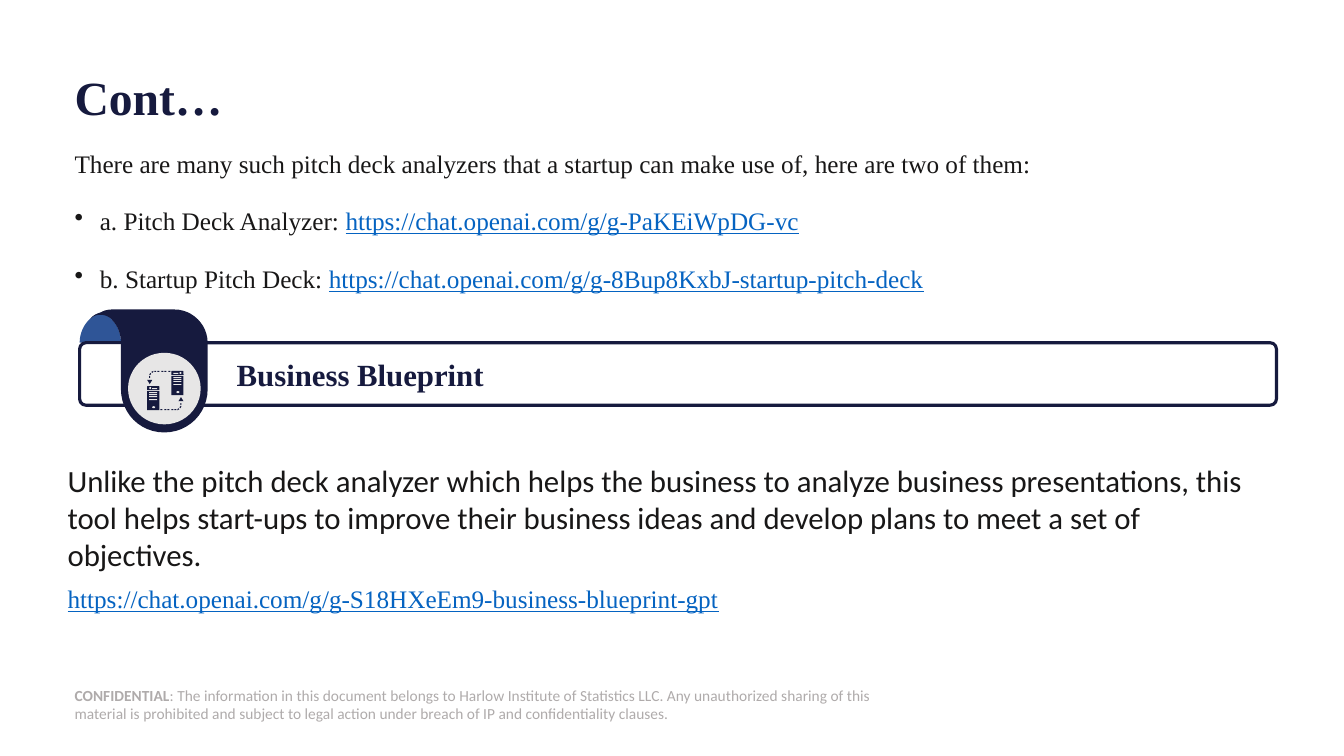
from lxml import etree
from pptx import Presentation
from pptx.dml.color import RGBColor
from pptx.enum.shapes import MSO_SHAPE
from pptx.enum.text import MSO_ANCHOR, PP_ALIGN
from pptx.oxml.ns import qn
from pptx.util import Emu, Pt

PX = 9144
RECT, OVAL = MSO_SHAPE.RECTANGLE, MSO_SHAPE.OVAL
ROUND, TOP = MSO_SHAPE.ROUNDED_RECTANGLE, MSO_SHAPE.ROUND_2_SAME_RECTANGLE
TRI = MSO_SHAPE.ISOSCELES_TRIANGLE
MID, HIGH, LEFT = MSO_ANCHOR.MIDDLE, MSO_ANCHOR.TOP, PP_ALIGN.LEFT
SERIF, SANS = "Times New Roman", "Calibri"
HUES = {"navy": "161A3E", "blue": "2F5597", "ink": "181717", "link": "0563C1",
        "grey": "AFABAB", "pale": "E7E6E6", "white": "FFFFFF"}


def px(num):
    """Turn px into EMU."""
    return Emu(round(num * PX))


def hue(name):
    """Look up a colour."""
    return RGBColor.from_string(HUES[name])


def paint(shape, fill, line=None, width=0):
    """Set fill and outline and drop the shadow."""
    shape.shadow.inherit = False
    shape.fill.solid()
    shape.fill.fore_color.rgb = hue(fill)
    if line:
        shape.line.color.rgb = hue(line)
        shape.line.width = Pt(width)
    else:
        shape.line.fill.background()
    return shape


def draw(slide, kind, box, fill, **line):
    """Add a painted preset shape."""
    return paint(slide.shapes.add_shape(kind, *map(px, box)), fill, **line)


def trace(slide, start, parts, fill):
    """Add an outline made of lines (x, y) and cubic curves (six numbers)."""
    spots, pen = [], start
    for part in parts:
        if len(part) == 2:
            spots.append(part)
        else:
            ends = (pen, part[:2], part[2:4], part[4:])
            for step in range(1, 13):
                t = step / 12
                mix = ((1 - t) ** 3, 3 * t * (1 - t) ** 2, 3 * t * t * (1 - t), t ** 3)
                spots.append(tuple(sum(m * e[i] for m, e in zip(mix, ends))
                                   for i in (0, 1)))
        pen = part[-2:]
    form = slide.shapes.build_freeform(px(start[0]), px(start[1]), scale=1.0)
    form.add_line_segments([(px(x), px(y)) for x, y in spots], close=True)
    return paint(form.convert_to_shape(), fill)


def write(shape, paras, size=18, font=SERIF, color="ink", bold=False, anchor=HIGH,
          pad=(0, 0, 0, 0), lead=None, before=0, after=0, dots=()):
    """Fill a shape with paragraphs of (text, changes) runs."""
    frame = shape.text_frame
    frame.word_wrap = True
    frame.vertical_anchor = anchor
    (frame.margin_left, frame.margin_top,
     frame.margin_right, frame.margin_bottom) = map(px, pad)
    for i, runs in enumerate(paras):
        para = frame.add_paragraph() if i else frame.paragraphs[0]
        para.alignment = LEFT
        para.space_before = Pt(before if i else 0)
        para.space_after = Pt(after)
        if lead:
            para.line_spacing = lead
        if i in dots:
            props = para._p.get_or_add_pPr()
            props.set("marL", str(px(25)))
            props.set("indent", str(px(-25)))
            etree.SubElement(props, qn("a:buChar")).set("char", "•")
        for words, change in runs:
            look = {"size": size, "font": font, "color": color, "bold": bold,
                    "under": False, **change}
            run = para.add_run()
            run.text = words
            run.font.size = Pt(look["size"])
            run.font.name = look["font"]
            run.font.bold = look["bold"]
            run.font.underline = look["under"]
            run.font.color.rgb = hue(look["color"])


def label(slide, box, paras, **form):
    """Add a text box."""
    write(slide.shapes.add_textbox(*map(px, box)), paras, **form)


def server(slide, x, y, flip=False):
    """Draw a server tower, with its lamp on the right if flipped."""
    draw(slide, TOP, (x, y, 12, 4), "navy")
    draw(slide, RECT, (x, y + 5, 12, 19), "navy")
    lamp, bar = (8, 2) if flip else (2, 5)
    draw(slide, OVAL, (x + lamp, y + 1, 2, 2), "pale")
    draw(slide, RECT, (x + bar, y + 2, 5, 1), "pale")
    for row in range(4):
        draw(slide, RECT, (x + 2, y + 6 + row * 7 // 3, 8, 1), "pale")
    draw(slide, OVAL, (x + 5, y + 20, 3, 2), "pale")


def flow(slide, x, y, flip=False):
    """Draw a dashed arrow in a 36 by 13 box, turned half round if flipped."""
    def spot(a, b):
        return (x + 36 - a, y + 13 - b) if flip else (x + a, y + b)

    def place(a, b, w, h):
        return (*spot(a + w * flip, b + h * flip), w, h)

    for dash in range(5):
        draw(slide, RECT, place(7 + dash * 7 // 2, 0, 2, 1), "navy")
    draw(slide, RECT, place(2, 5, 1, 2), "navy")
    for first, *rest in (((6, 0), (4, 1), (5, 2), (6, 1)),
                         ((3, 2), (2, 4), (3, 4), (4, 3))):
        trace(slide, spot(*first), [spot(*p) for p in rest], "navy")
    head = draw(slide, TRI, place(0, 9, 5, 4), "navy")
    head.rotation = 0 if flip else 180


def badge(slide, x, y):
    """Draw the ribbon and the round icon on it."""
    ribbon = [(22, 0), (17, 0, 13, 1, 10, 3), (6, 4, 2, 6, 0, 9),
              (5, 4, 14, 4, 20, 9), (26, 15, 30, 23, 30, 33), (30, 79),
              (30, 103, 49, 122, 73, 122), (97, 122, 116, 103, 116, 79),
              (116, 33), (116, 15, 101, 0, 83, 0)]
    trace(slide, (x + 83, y),
          [tuple(n + (y if i % 2 else x) for i, n in enumerate(part))
           for part in ribbon], "navy")
    draw(slide, OVAL, (x + 37, y + 43, 72, 71), "pale")
    server(slide, x + 56, y + 76)
    server(slide, x + 80, y + 61, flip=True)
    flow(slide, x + 56, y + 61)
    flow(slide, x + 56, y + 87, flip=True)


def banner(slide, x, y, w, h, name):
    """Draw the section bar with its folded ribbon."""
    trace(slide, (x + 21, y - 30),
          [(x + 9, y - 26, x, y - 14, x, y), (x + 41, y),
           (x + 41, y - 14, x + 33, y - 26, x + 21, y - 30)], "blue")
    bar = draw(slide, ROUND, (x, y, w, h), "white", line="navy", width=2.25)
    bar.adjustments[0] = 0.1
    write(bar, [[(name, {})]], size=22, color="navy", bold=True, anchor=MID,
          pad=(154, 5, 10, 5))
    badge(slide, x + 11, y - 33)


def main():
    """Build the slide and save it."""
    deck = Presentation()
    deck.slide_width, deck.slide_height = px(1333), px(750)
    slide = deck.slides.add_slide(deck.slide_layouts[6])
    link = {"color": "link", "under": True}
    label(slide, (74, 679, 817, 40), [[
        ("CONFIDENTIAL", {"bold": True}),
        (": The information in this document belongs to Harlow Institute of Statistics LLC. "
         "Any unauthorized sharing of this material is prohibited and subject to legal "
         "action under breach of IP and confidentiality clauses.", {})]],
        size=11, font=SANS, color="grey", anchor=MID)
    label(slide, (74, 66, 1185, 67), [[("Cont…", {})]], size=34, color="navy",
          bold=True, anchor=MID, lead=0.9)
    label(slide, (74, 145, 1185, 96), [
        [("There are many such pitch deck analyzers that a startup can make use of, "
          "here are two of them:", {})],
        [("a. Pitch Deck Analyzer: ", {}),
         ("https://chat.openai.com/g/g-PaKEiWpDG-vc", link)],
        [("b. Startup Pitch Deck: ", {}),
         ("https://chat.openai.com/g/g-8Bup8KxbJ-startup-pitch-deck", link)]],
        lead=1.07, before=10, after=8, dots=(1, 2))
    banner(slide, 79, 340, 1187, 62, "Business Blueprint")
    label(slide, (67, 458, 1185, 96), [
        [("Unlike the pitch deck analyzer which helps the business to analyze business "
          "presentations, this tool helps start-ups to improve their business ideas and "
          "develop plans to meet a set of objectives.", {"size": 22, "font": SANS})],
        [("https://chat.openai.com/g/g-S18HXeEm9-business-blueprint-gpt", link)]],
        before=4, after=4)
    deck.save("out.pptx")


if __name__ == "__main__":
    main()
